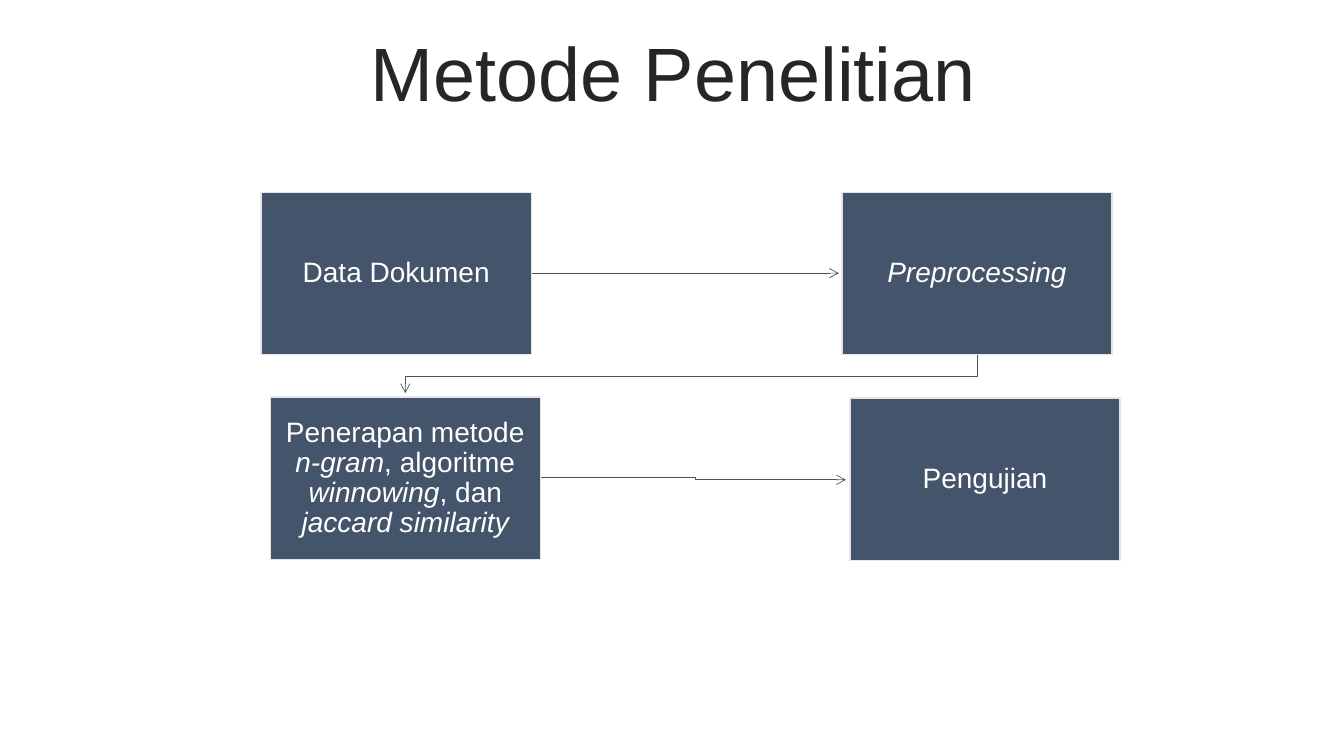
from dataclasses import dataclass

from lxml.etree import SubElement
from pptx import Presentation
from pptx.dml.color import RGBColor
from pptx.enum.shapes import MSO_CONNECTOR, MSO_SHAPE
from pptx.enum.text import MSO_ANCHOR, PP_ALIGN
from pptx.oxml.ns import qn
from pptx.shapes.base import BaseShape
from pptx.slide import Slide
from pptx.util import Inches, Pt


@dataclass(frozen=True)
class Theme:
    font: str = "Arial"
    title_color: RGBColor = RGBColor(0x26, 0x26, 0x26)
    step_color: RGBColor = RGBColor(0x44, 0x54, 0x6A)
    border_color: RGBColor = RGBColor(0xE7, 0xE6, 0xE6)
    step_text_color: RGBColor = RGBColor(0xFF, 0xFF, 0xFF)
    title_size: int = 54
    step_size: int = 20
    border_width: float = 1
    arrow_width: float = 0.5


@dataclass(frozen=True)
class Span:
    text: str
    italic: bool = False


@dataclass(frozen=True)
class Step:
    left: float
    top: float
    spans: tuple[Span, ...]


@dataclass(frozen=True)
class Arrow:
    points: tuple[tuple[float, float], ...]


THEME = Theme()
STEP_WIDTH, STEP_HEIGHT = 2.68, 1.61

STEPS = (
    Step(2.59, 1.91, (Span("Data Dokumen"),)),
    Step(8.35, 1.91, (Span("Preprocessing", True),)),
    Step(2.68, 3.94, (
        Span("Penerapan metode "),
        Span("n-gram", True),
        Span(", algoritme"),
        Span(" winnowing", True),
        Span(", dan"),
        Span(" jaccard similarity", True),
    )),
    Step(8.43, 3.95, (Span("Pengujian"),)),
)

ARROWS = (
    Arrow(((5.28, 2.71), (8.32, 2.71))),
    Arrow(((9.69, 3.51), (9.69, 3.73), (4.02, 3.73), (4.02, 3.9))),
    Arrow(((5.36, 4.74), (6.9, 4.74), (6.9, 4.76), (8.39, 4.76))),
)


def write_text(shape: BaseShape, spans: tuple[Span, ...], *, size: float,
               color: RGBColor, margin: float) -> None:
    frame = shape.text_frame
    frame.word_wrap = True
    frame.vertical_anchor = MSO_ANCHOR.MIDDLE
    frame.margin_left = frame.margin_right = Inches(margin)
    frame.margin_top = frame.margin_bottom = Inches(margin)
    paragraph = frame.paragraphs[0]
    paragraph.alignment = PP_ALIGN.CENTER
    paragraph.line_spacing = 0.9
    for span in spans:
        run = paragraph.add_run()
        run.text = span.text
        run.font.name = THEME.font
        run.font.size = Pt(size)
        run.font.color.rgb = color
        run.font.italic = span.italic


def draw_title(slide: Slide, title: str) -> None:
    heading = slide.shapes.add_textbox(
        Inches(0.35), Inches(0.37), Inches(12.66), Inches(0.79))
    write_text(heading, (Span(title),), size=THEME.title_size,
               color=THEME.title_color, margin=0.05)


def draw_step(slide: Slide, step: Step) -> None:
    card = slide.shapes.add_shape(
        MSO_SHAPE.RECTANGLE, Inches(step.left), Inches(step.top),
        Inches(STEP_WIDTH), Inches(STEP_HEIGHT))
    card.shadow.inherit = False
    card.fill.solid()
    card.fill.fore_color.rgb = THEME.step_color
    card.line.color.rgb = THEME.border_color
    card.line.width = Pt(THEME.border_width)
    write_text(card, step.spans, size=THEME.step_size,
               color=THEME.step_text_color, margin=0.14)


def draw_arrow(slide: Slide, arrow: Arrow) -> None:
    start, *route = [(Inches(x), Inches(y)) for x, y in arrow.points]
    if len(route) == 1:
        flow = slide.shapes.add_connector(MSO_CONNECTOR.STRAIGHT, *start, *route[0])
    else:
        builder = slide.shapes.build_freeform(*start)
        builder.add_line_segments(route, close=False)
        flow = builder.convert_to_shape()
        flow.fill.background()
    flow.line.color.rgb = THEME.step_color
    flow.line.width = Pt(THEME.arrow_width)
    properties = flow.element.spPr
    SubElement(properties.find(qn("a:ln")), qn("a:tailEnd"), type="arrow")
    SubElement(properties, qn("a:effectLst"))


def main() -> None:
    presentation = Presentation()
    presentation.slide_width = Inches(13.33)
    presentation.slide_height = Inches(7.5)
    slide = presentation.slides.add_slide(presentation.slide_layouts[6])
    draw_title(slide, "Metode Penelitian")
    for arrow in ARROWS:
        draw_arrow(slide, arrow)
    for step in STEPS:
        draw_step(slide, step)
    presentation.save("out.pptx")


if __name__ == "__main__":
    main()
